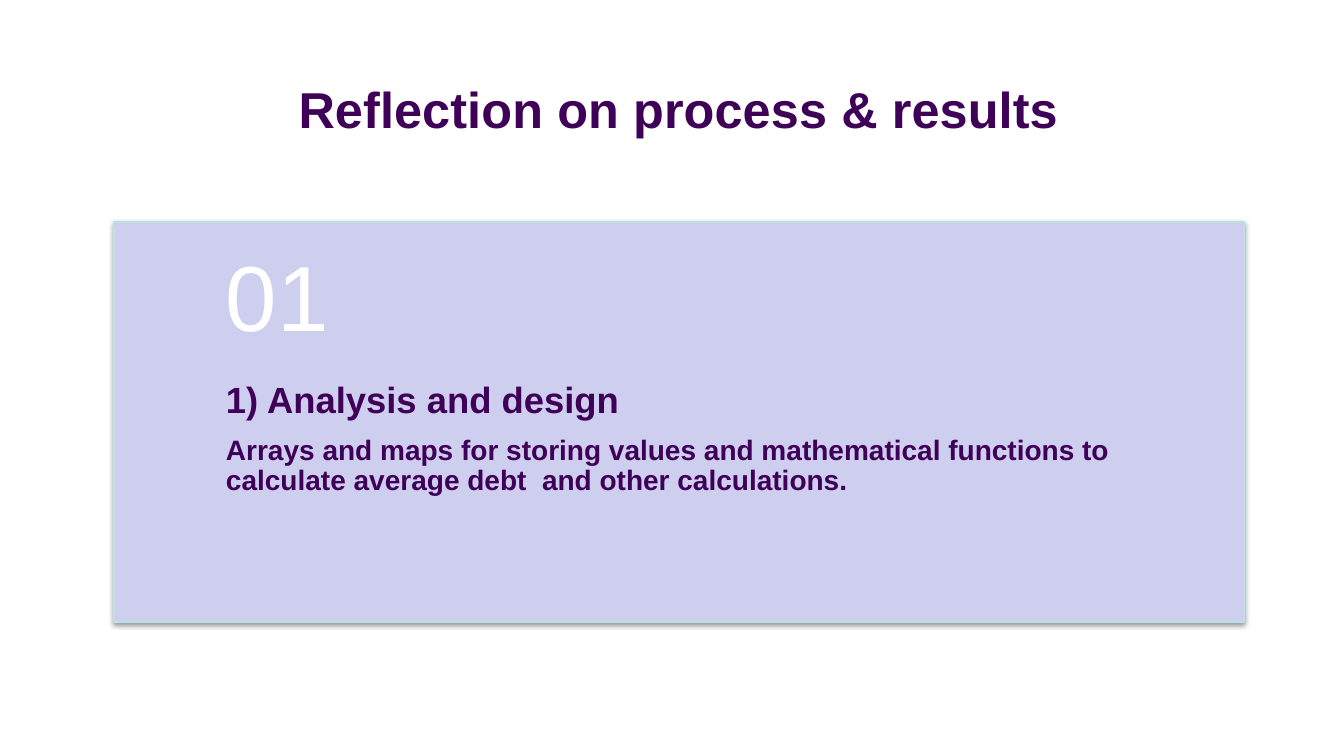
from dataclasses import dataclass

from lxml import etree
from pptx import Presentation
from pptx import util as u
from pptx.dml.color import RGBColor
from pptx.enum import shapes, text
from pptx.oxml.ns import qn

TITLE = "Reflection on process & results"
NUMBER = "01"
HEADING = "1) Analysis and design"
DETAIL = ("Arrays and maps for storing values and mathematical functions to "
          "calculate average debt  and other calculations.")


@dataclass(frozen=True)
class Theme:
    font: str = "Arial"
    ink: str = "3F0058"
    number: str = "FFFFFF"
    panel: str = "CECEEF"
    border: str = "BBE0E3"
    shadow: str = "000000"
    title_pt: int = 36
    number_pt: int = 66
    heading_pt: int = 26
    detail_pt: int = 20


theme = Theme()
PX_PER_INCH = 100.8
LEFT, WIDTH = 114, 1130
TITLE_TOP, TITLE_HEIGHT = 42, 132
PANEL_TOP, PANEL_HEIGHT = 222, 400
NUMBER_HEIGHT = PANEL_HEIGHT * 2 // 5
SIDE_INSET = 112


def px(length):
    return u.Inches(length / PX_PER_INCH)


def band(top, height):
    """Box across the content column."""
    return px(LEFT), px(top), px(WIDTH), px(height)


def add_text(parent, top, height, lines, insets, anchor, align, spacing=1.0):
    """Text box of (wording, points, colour, bold) lines; returns its runs."""
    frame = parent.add_textbox(*band(top, height)).text_frame
    frame.word_wrap = True
    frame.vertical_anchor = anchor
    side, above, below = insets
    frame.margin_left = frame.margin_right = px(side)
    frame.margin_top, frame.margin_bottom = px(above), px(below)
    runs = []
    for index, (wording, points, colour, bold) in enumerate(lines):
        paragraph = frame.add_paragraph() if index else frame.paragraphs[0]
        paragraph.alignment = align
        paragraph.line_spacing = spacing
        if index < len(lines) - 1:
            paragraph.space_after = u.Pt(10.5)
        run = paragraph.add_run()
        run.text = wording
        run.font.name = theme.font
        run.font.size = u.Pt(points)
        run.font.bold = bold
        run.font.color.rgb = RGBColor.from_string(colour)
        runs.append(run)
    return runs


def add_shadow(shape):
    shape.shadow.inherit = False
    effects = shape._element.spPr.find(qn("a:effectLst"))
    outer = etree.SubElement(effects, qn("a:outerShdw"), {
        "blurRad": str(u.Pt(3.1)), "dist": str(u.Pt(1.6)),
        "dir": "5400000", "rotWithShape": "0"})
    colour = etree.SubElement(outer, qn("a:srgbClr"), val=theme.shadow)
    etree.SubElement(colour, qn("a:alpha"), val="38000")


def add_card(slide):
    card = slide.shapes.add_group_shape().shapes
    panel = card.add_shape(shapes.MSO_SHAPE.RECTANGLE,
                           *band(PANEL_TOP, PANEL_HEIGHT))
    panel.fill.solid()
    panel.fill.fore_color.rgb = RGBColor.from_string(theme.panel)
    panel.line.color.rgb = RGBColor.from_string(theme.border)
    panel.line.width = u.Pt(2)
    add_shadow(panel)
    add_text(card, PANEL_TOP + NUMBER_HEIGHT, PANEL_HEIGHT - NUMBER_HEIGHT,
             [(HEADING, theme.heading_pt, theme.ink, True),
              (DETAIL, theme.detail_pt, theme.ink, True)],
             (SIDE_INSET, 0, 36), text.MSO_ANCHOR.TOP, text.PP_ALIGN.LEFT, 0.9)
    add_text(card, PANEL_TOP, NUMBER_HEIGHT,
             [(NUMBER, theme.number_pt, theme.number, False)],
             (SIDE_INSET, 18, 18), text.MSO_ANCHOR.MIDDLE,
             text.PP_ALIGN.LEFT, 0.9)


def main():
    deck = Presentation()
    deck.slide_width, deck.slide_height = px(1344), px(756)
    slide = deck.slides.add_slide(deck.slide_layouts[6])
    title, = add_text(slide.shapes, TITLE_TOP, TITLE_HEIGHT,
                      [(TITLE, theme.title_pt, theme.ink, True)],
                      (10, 5, 5), text.MSO_ANCHOR.MIDDLE,
                      text.PP_ALIGN.CENTER)
    title.font._element.set("spc", "10")
    add_card(slide)
    deck.save("out.pptx")


if __name__ == "__main__":
    main()
